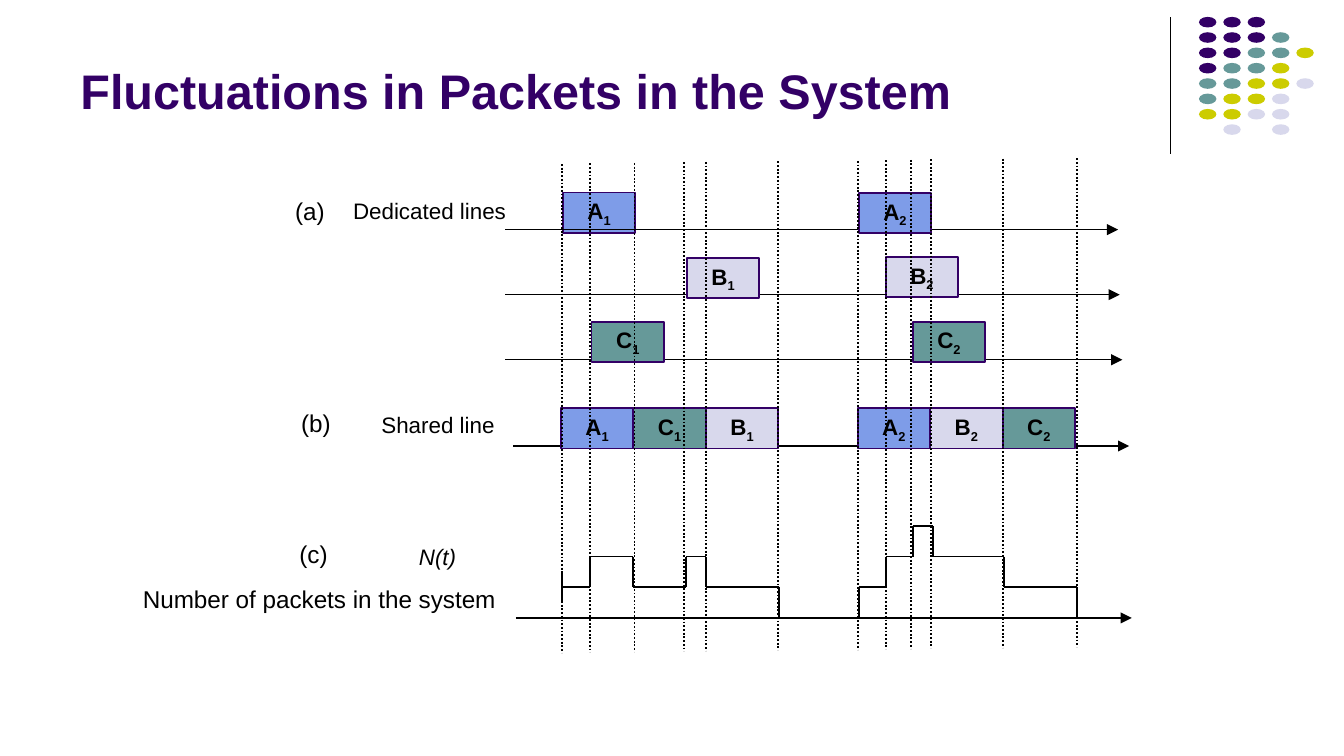
"""Build a slide on how dedicated and shared lines change the packets in a system."""
from itertools import pairwise

from pptx import Presentation
from pptx.dml.color import RGBColor
from pptx.enum.dml import MSO_LINE
from pptx.enum.shapes import MSO_CONNECTOR, MSO_SHAPE
from pptx.enum.text import MSO_ANCHOR, PP_ALIGN
from pptx.oxml.ns import qn
from pptx.util import Cm, Pt
from lxml.etree import SubElement

THEME = {
    "font": "Arial",
    "title": 26, "label": 13, "caption": 12, "packet": 12,
    "ink": "000000", "indigo": "330066",
    "A": "7E9CE8", "B": "D8D8EC", "C": "669999",
    "dots": {"P": "330066", "T": "669999", "Y": "CCCC00", "L": "D8D8EC"},
    "thin": 0.75, "normal": 1,
}

DOT_ROWS = ["PPP", "PPPT", "PPTTY", "PTTY", "TTYYL", "TYYL", "YYLL", " L L"]

PACKET_WIDTH, PACKET_HEIGHT = 1.37, 0.76
FIRST_PACKET = ("A1", 10.64, 3.64)
DEDICATED = [("A2", 16.23, 3.65), ("B1", 12.98, 4.88), ("B2", 16.74, 4.86),
             ("C2", 17.25, 6.08), ("C1", 11.18, 6.08)]
SHARED_TOP = 7.72
SHARED = [(10.6, ["A1", "C1", "B1"]), (16.21, ["A2", "B2", "C2"])]

AXES = [(9.55, 21.13, 4.34), (9.55, 21.16, 5.57), (9.55, 21.21, 6.8),
        (9.7, 21.34, 8.43), (9.75, 21.39, 11.68)]

GUIDES = [10.62, 11.15, 11.99, 12.93, 13.34, 14.71,
          16.21, 16.74, 17.22, 17.6, 18.95, 20.35]
GUIDE_TOP, GUIDE_LENGTH, GUIDE_RISE = 3.1, 9.24, 0.01

COUNT_BASE, COUNT_STEP = 11.66, 0.57
COUNT_START = (10.62, 10.8, 10.62, 11.38)
COUNTS = [
    [(10.62, 1), (11.15, 2), (11.97, 1), (12.97, 2), (13.34, 1), (14.73, 0)],
    [(16.23, 0), (16.23, 1), (16.74, 2), (17.25, 3), (17.63, 2), (18.97, 1), (20.35, 0)],
]

WIDE, TIGHT = (0.25, 0.13), (0.18, 0.1)
LEFT, CENTER = PP_ALIGN.LEFT, PP_ALIGN.CENTER
TEXTS = [
    ("Fluctuations in Packets in the System", (1.27, 0.25, 20.96, 2.13), "title", WIDE, LEFT,
     {"bold": True}),
    ("(a)", (5.33, 3.58, 1.75, 0.81), "label", WIDE, LEFT, {}),
    ("(b)", (5.44, 7.59, 1.32, 0.81), "label", WIDE, LEFT, {}),
    ("(c)", (5.41, 10.06, 1.32, 0.81), "label", WIDE, LEFT, {}),
    ("Dedicated lines", (6.38, 3.63, 3.48, 0.69), "caption", TIGHT, CENTER, {}),
    ("Shared line", (6.53, 7.67, 3.5, 0.69), "caption", TIGHT, CENTER, {}),
    ("N(t)", (6.53, 10.16, 3.48, 0.69), "caption", TIGHT, CENTER, {"italic": True}),
    ("Number of packets in the system", (2.26, 10.92, 7.54, 0.81), "label", WIDE, CENTER, {}),
]


def apply(target, formats):
    for name, value in formats.items():
        setattr(target, name, value)


def set_frame(box, insets, anchor):
    side, edge = (Cm(inset) for inset in insets)
    apply(box.text_frame, {"word_wrap": True, "vertical_anchor": anchor,
                           "margin_left": side, "margin_right": side,
                           "margin_top": edge, "margin_bottom": edge})
    return box.text_frame.paragraphs[0]


def add_span(para, text, size, color="ink", **formats):
    span = para.add_run()
    span.text = text
    apply(span.font, {"name": THEME["font"], "size": Pt(THEME[size]), **formats})
    span.font.color.rgb = RGBColor.from_string(THEME[color])
    return span


def add_filled(page, kind, place, fill):
    shape = page.shapes.add_shape(kind, *map(Cm, place))
    shape.shadow.inherit = False
    shape.fill.solid()
    shape.fill.fore_color.rgb = RGBColor.from_string(fill)
    shape.line.fill.background()
    return shape


def add_line(page, ends, width="normal", arrow=False, **formats):
    line = page.shapes.add_connector(MSO_CONNECTOR.STRAIGHT, *map(Cm, ends))
    line.line.color.rgb = RGBColor.from_string(THEME["ink"])
    apply(line.line, {"width": Pt(THEME[width]), **formats})
    properties = line._element.spPr
    if arrow:
        SubElement(properties.find(qn("a:ln")), qn("a:tailEnd"), type="triangle")
    SubElement(properties, qn("a:effectLst"))


def add_packet(page, name, left, top):
    letter, number = name
    box = add_filled(page, MSO_SHAPE.RECTANGLE,
                     (left, top, PACKET_WIDTH, PACKET_HEIGHT), THEME[letter])
    box.line.color.rgb = RGBColor.from_string(THEME["indigo"])
    box.line.width = Pt(THEME["normal"])
    para = set_frame(box, TIGHT, MSO_ANCHOR.MIDDLE)
    para.alignment = CENTER
    add_span(para, letter, "packet", bold=True)
    subscript = add_span(para, number, "packet", bold=True)
    subscript._r.get_or_add_rPr().set("baseline", "-25000")


def add_text(page, text, place, size, insets, alignment, formats):
    box = page.shapes.add_textbox(*map(Cm, place))
    heading = size == "title"
    para = set_frame(box, insets, MSO_ANCHOR.BOTTOM if heading else MSO_ANCHOR.TOP)
    para.alignment = alignment
    add_span(para, text, size, "indigo" if heading else "ink", **formats)


def add_counts(page):
    add_line(page, COUNT_START)
    for burst in COUNTS:
        for (start, count), (end, following) in pairwise(burst):
            level, target = (COUNT_BASE - COUNT_STEP * n for n in (count, following))
            if end > start:
                add_line(page, (start, level, end, level))
            add_line(page, (end, level, end, target))


def main():
    deck = Presentation()
    apply(deck, {"slide_width": Cm(25.4), "slide_height": Cm(14.29)})
    page = deck.slides.add_slide(deck.slide_layouts[6])

    add_line(page, (22.12, 0.33, 22.12, 2.92), "thin")
    for row, dots in enumerate(DOT_ROWS):
        for column, dot in enumerate(dots):
            if dot != " ":
                place = (22.66 + 0.46 * column, 0.32 + 0.29 * row, 0.33, 0.2)
                add_filled(page, MSO_SHAPE.OVAL, place, THEME["dots"][dot])

    add_packet(page, *FIRST_PACKET)
    for start, end, height in AXES:
        add_line(page, (start, height, end, height), "thin", arrow=True)
    for packet in DEDICATED:
        add_packet(page, *packet)
    for start, names in SHARED:
        for slot, name in enumerate(names):
            add_packet(page, name, start + slot * PACKET_WIDTH, SHARED_TOP)

    add_counts(page)
    for index, left in enumerate(GUIDES):
        top = GUIDE_TOP - GUIDE_RISE * index
        add_line(page, (left, top, left, top + GUIDE_LENGTH), dash_style=MSO_LINE.ROUND_DOT)
    for text in TEXTS:
        add_text(page, *text)
    deck.save("out.pptx")


if __name__ == "__main__":
    main()
